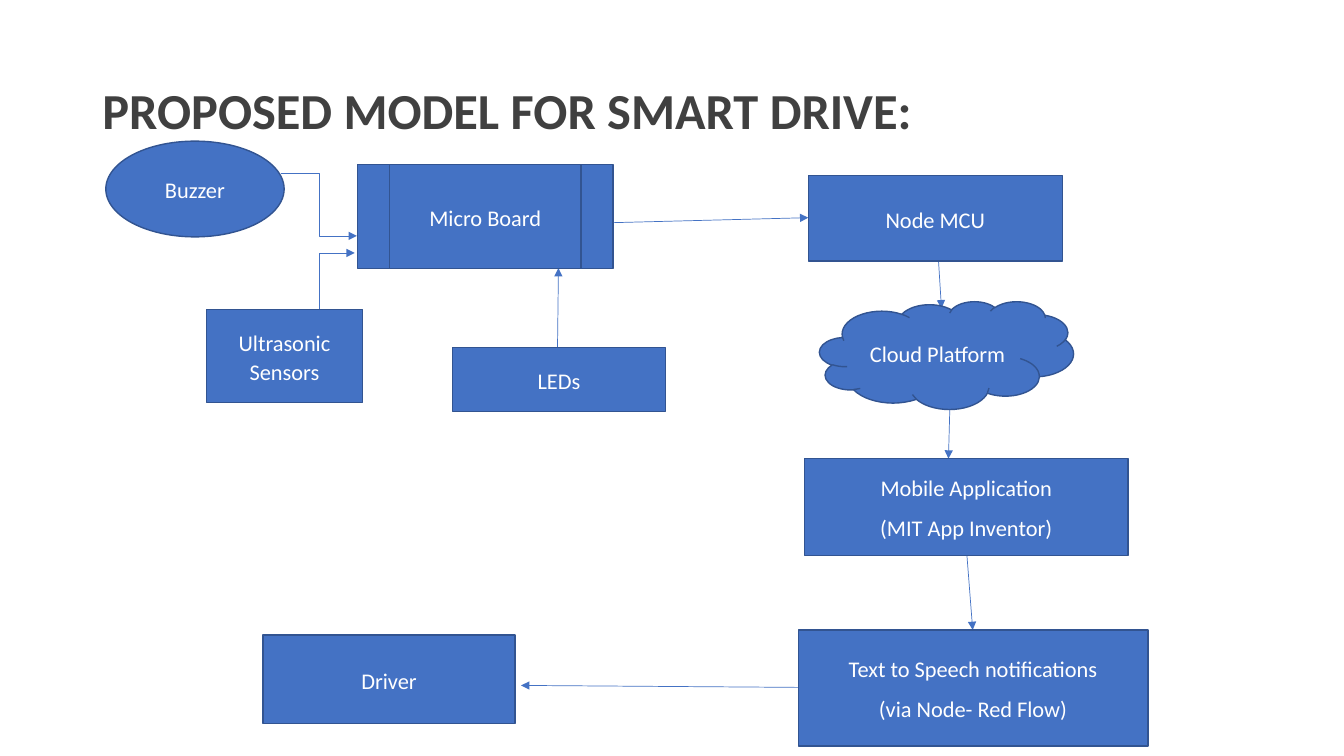
from dataclasses import dataclass

from lxml.etree import SubElement
from pptx import Presentation
from pptx.dml.color import RGBColor
from pptx.enum.shapes import MSO_CONNECTOR, MSO_SHAPE
from pptx.enum.text import MSO_ANCHOR, MSO_AUTO_SIZE, PP_ALIGN
from pptx.oxml.ns import qn
from pptx.util import Pt


@dataclass(frozen=True)
class Theme:
    font: str = "Calibri"
    title_size: int = 36
    block_size: int = 16
    title_color: RGBColor = RGBColor(0x40, 0x40, 0x40)
    block_text: RGBColor = RGBColor(0xFF, 0xFF, 0xFF)
    block_fill: RGBColor = RGBColor(0x44, 0x72, 0xC4)
    block_border: RGBColor = RGBColor(0x32, 0x54, 0x91)
    block_border_width: float = 1
    arrow_color: RGBColor = RGBColor(0x44, 0x72, 0xC4)
    arrow_width: float = 0.5


class DiagramSlide:
    def __init__(self, slide, theme):
        self.slide = slide
        self.theme = theme

    def add_run(self, paragraph, text, size, color, bold=False):
        run = paragraph.add_run()
        run.text = text
        run.font.name = self.theme.font
        run.font.size = Pt(size)
        run.font.color.rgb = color
        run.font.bold = bold

    def title(self, text, left, top, width, height):
        shape = self.slide.shapes.title
        shape.left, shape.top = Pt(left), Pt(top)
        shape.width, shape.height = Pt(width), Pt(height)
        frame = shape.text_frame
        frame.auto_size = MSO_AUTO_SIZE.NONE
        frame.vertical_anchor = MSO_ANCHOR.MIDDLE
        paragraph = frame.paragraphs[0]
        paragraph.alignment = PP_ALIGN.LEFT
        paragraph.line_spacing = 0.9
        self.add_run(paragraph, text, self.theme.title_size,
                     self.theme.title_color, bold=True)

    def block(self, kind, lines, left, top, width, height):
        """Add a filled shape with one centred paragraph per line."""
        shape = self.slide.shapes.add_shape(
            kind, Pt(left), Pt(top), Pt(width), Pt(height))
        shape.shadow.inherit = False
        shape.fill.solid()
        shape.fill.fore_color.rgb = self.theme.block_fill
        shape.line.color.rgb = self.theme.block_border
        shape.line.width = Pt(self.theme.block_border_width)
        frame = shape.text_frame
        frame.word_wrap = True
        frame.vertical_anchor = MSO_ANCHOR.MIDDLE
        for index, text in enumerate(lines):
            paragraph = frame.add_paragraph() if index else frame.paragraphs[0]
            paragraph.alignment = PP_ALIGN.CENTER
            paragraph.line_spacing = 1.07
            paragraph.space_after = Pt(8)
            self.add_run(paragraph, text, self.theme.block_size,
                         self.theme.block_text)

    def arrow(self, kind, start, end):
        connector = self.slide.shapes.add_connector(
            kind, *(Pt(value) for value in start + end))
        connector.line.color.rgb = self.theme.arrow_color
        connector.line.width = Pt(self.theme.arrow_width)
        properties = connector._element.spPr
        SubElement(properties.find(qn("a:ln")), qn("a:tailEnd"), type="triangle")
        SubElement(properties, qn("a:effectLst"))


STRAIGHT, ELBOW = MSO_CONNECTOR.STRAIGHT, MSO_CONNECTOR.ELBOW
BOX = MSO_SHAPE.RECTANGLE

ARROWS = [
    (ELBOW, (200.9, 123.8), (254.9, 168.5)),
    (ELBOW, (203, 232.6), (253.4, 180.7)),
    (STRAIGHT, (398.2, 251.3), (398.9, 191.5)),
    (STRAIGHT, (436.3, 159.1), (577.4, 155.5)),
    (STRAIGHT, (668.9, 162.7), (672.5, 220.3)),
    (STRAIGHT, (679, 272.9), (677.5, 327.6)),
    (STRAIGHT, (689.8, 385.2), (694.8, 450)),
    (STRAIGHT, (570.2, 491), (372.2, 489.6)),
]

BLOCKS = [
    (BOX, ["Ultrasonic Sensors"], 147.4, 221, 111.6, 66.5),
    (BOX, ["Node MCU"], 577.4, 125.3, 181.4, 61.2),
    (BOX, ["LEDs"], 323.3, 248.4, 151.9, 45.4),
    (BOX, ["Mobile Application", "(MIT App Inventor)"],
     574.6, 327.6, 231.1, 69.1),
    (BOX, ["Text to Speech notifications", "(via Node- Red Flow)"],
     570.2, 450, 249.8, 82.8),
    (BOX, ["Driver"], 187.9, 453.6, 180, 63.4),
    (MSO_SHAPE.OVAL, ["Buzzer"], 75.6, 100.8, 127.4, 68.4),
    (MSO_SHAPE.CLOUD, ["Cloud Platform"], 585.4, 215.3, 181.4, 77),
    (MSO_SHAPE.FLOWCHART_PREDEFINED_PROCESS, ["Micro Board"],
     255.6, 117.4, 182.2, 74.2),
]


def main():
    presentation = Presentation()
    presentation.slide_width, presentation.slide_height = Pt(960), Pt(540)
    title_only = presentation.slide_layouts[5]
    diagram = DiagramSlide(presentation.slides.add_slide(title_only), Theme())
    diagram.title("PROPOSED MODEL FOR SMART DRIVE:", 66, 28.8, 828, 104.4)
    for arrow in ARROWS:
        diagram.arrow(*arrow)
    for block in BLOCKS:
        diagram.block(*block)
    presentation.save("out.pptx")


if __name__ == "__main__":
    main()
